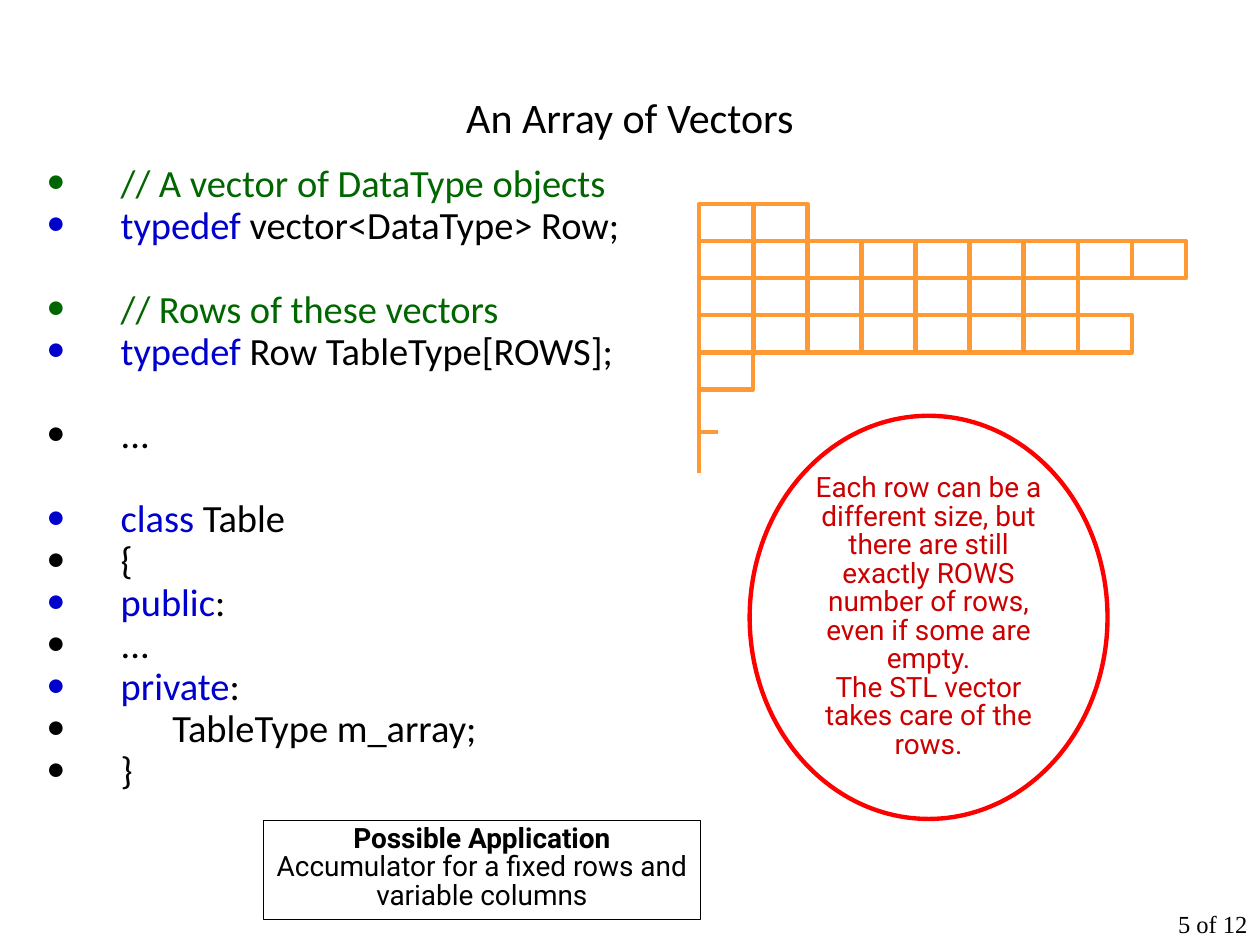
"""Build the slide on an array of vectors."""
from lxml.etree import SubElement
from pptx import Presentation
from pptx.dml.color import RGBColor
from pptx.enum.shapes import MSO_CONNECTOR, MSO_SHAPE
from pptx.enum.text import MSO_ANCHOR, PP_ALIGN
from pptx.oxml.ns import qn
from pptx.util import Pt

INK = {"black": "000000", "green": "006600", "blue": "0000CC",
       "orange": "FF9933", "ring": "FF0000", "note": "CC0000"}


def style(para, size, face, color, align=PP_ALIGN.CENTER, space=1.0):
    para.alignment = align
    para.line_spacing = space
    for run in para.runs:
        run.font.size = Pt(size)
        run.font.name = face
        run.font.color.rgb = RGBColor.from_string(INK[color])


def outline(kind, left, top, width, height, color, weight):
    shape = slide.shapes.add_shape(kind, Pt(left), Pt(top), Pt(width), Pt(height))
    shape.shadow.inherit = False
    shape.fill.background()
    shape.line.color.rgb = RGBColor.from_string(INK[color])
    shape.line.width = Pt(weight)
    frame = shape.text_frame
    frame.word_wrap = True
    frame.margin_left = frame.margin_right = Pt(0)
    frame.margin_top = frame.margin_bottom = Pt(0)
    return shape


deck = Presentation()
deck.slide_width, deck.slide_height = Pt(720), Pt(540)
slide = deck.slides.add_slide(deck.slide_layouts[6])

title = slide.shapes.add_textbox(Pt(36), Pt(21.6), Pt(648), Pt(90)).text_frame
title.word_wrap = True
title.vertical_anchor = MSO_ANCHOR.MIDDLE
title.text = "An Array of Vectors"
style(title.paragraphs[0], 24, "Calibri", "black")

blocks = [
    [[("// A vector of DataType objects", "green")],
     [("typedef", "blue"), (" vector<DataType> Row;", "black")]],
    [[("// Rows of these vectors", "green")],
     [("typedef", "blue"), (" Row TableType[ROWS];", "black")]],
    [[("...", "black")]],
    [[("class", "blue"), (" Table", "black")],
     [("{", "black")],
     [("public", "blue"), (":", "black")],
     [("...", "black")],
     [("private", "blue"), (":", "black")],
     [("\tTableType m_array;", "black")],
     [("}", "black")]],
]
code = slide.shapes.add_textbox(Pt(19.4), Pt(94.3), Pt(686), Pt(402.5)).text_frame
code.word_wrap = True
for b, block in enumerate(blocks):
    for n, line in enumerate(block):
        first = b == n == 0
        para = code.paragraphs[0] if first else code.add_paragraph()
        for text, color in line:
            run = para.add_run()
            run.text = text
            run.font.size = Pt(22)
            run.font.name = "Calibri"
            run.font.color.rgb = RGBColor.from_string(INK[color])
        para.line_spacing = 0.7
        if not first:
            para.space_before = Pt(5.5 if n else 29.5)
        props = para._p.get_or_add_pPr()
        props.set("marL", str(Pt(42.5)))
        props.set("indent", str(Pt(-42.5)))
        tint = SubElement(props, qn("a:buClr"))
        SubElement(tint, qn("a:srgbClr"), val=INK[line[0][1]])
        SubElement(props, qn("a:buFont"), typeface="Calibri")
        SubElement(props, qn("a:buChar"), char="•")
        tabs = SubElement(props, qn("a:tabLst"))
        SubElement(tabs, qn("a:tab"), pos=str(Pt(72)), algn="l")

page = slide.shapes.add_textbox(Pt(626.4), Pt(519.8), Pt(93.6), Pt(20.2)).text_frame
page.word_wrap = True
page.text = "5 of 12"
style(page.paragraphs[0], 14, "Times New Roman", "black", PP_ALIGN.RIGHT, 0.75)

left, top, wide, high = 399.6, 116.6, 30.9, 21.2
for row, count in enumerate([2, 9, 7, 8, 1]):
    for col in range(count):
        outline(MSO_SHAPE.RECTANGLE, left + col * wide, top + row * high,
                wide, high, "orange", 2.5)

ring = outline(MSO_SHAPE.OVAL, 428.4, 237.6, 204.5, 230.4, "ring", 2.5).text_frame
ring.vertical_anchor = MSO_ANCHOR.MIDDLE
ring.text = ("Each row can be a different size, but there are still exactly "
             "ROWS number of rows, even if some are empty.\n"
             "The STL vector takes care of the rows.")
for para in ring.paragraphs:
    style(para, 16, "Roboto", "note", space=0.85)

for x, y, end, base in [(left, 218.9, left, 252.7), (left, 235.4, left, 270),
                        (left, 247, 410.4, 247)]:
    edge = slide.shapes.add_connector(MSO_CONNECTOR.STRAIGHT,
                                      Pt(x), Pt(y), Pt(end), Pt(base))
    edge.line.color.rgb = RGBColor.from_string(INK["orange"])
    edge.line.width = Pt(2.5)
    SubElement(edge._element.spPr, qn("a:effectLst"))

usage = outline(MSO_SHAPE.RECTANGLE, 150.5, 468.7, 249.8, 56.9, "black", 0.75).text_frame
usage.margin_top = Pt(2.9)
usage.vertical_anchor = MSO_ANCHOR.TOP
usage.text = ("Possible Application\n"
              "Accumulator for a fixed rows and variable columns")
for para in usage.paragraphs:
    style(para, 16, "Roboto", "black", space=0.85)
usage.paragraphs[0].runs[0].font.bold = True

deck.save("out.pptx")
